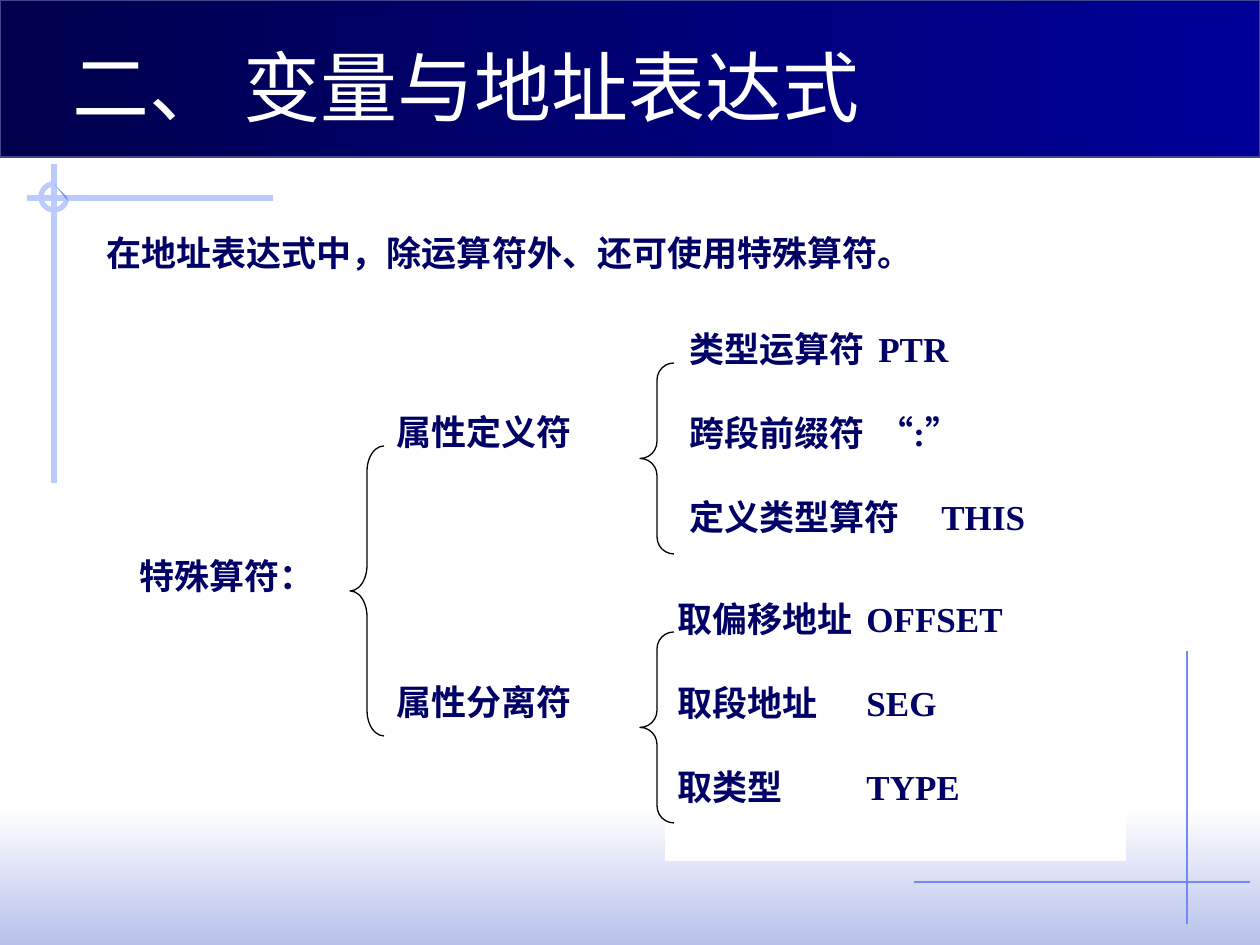
import pptx
import pptx.util
import pptx.dml.color
import pptx.enum.shapes
import pptx.enum.text
import pptx.oxml
import pptx.oxml.ns

SCALE = 914400 / 126
KIND = pptx.enum.shapes.MSO_SHAPE
HUE = {
    "navy": "000066", "dark": "00004D", "blue": "000099", "edge": "40458C",
    "mist": "B7C1EB", "pale": "BBCBFD", "thin": "6F89F7",
    "white": "FFFFFF", "black": "000000",
}
SANS = "Noto Sans CJK SC"
SERIF = "Times New Roman"


def px(size):
    return pptx.util.Emu(round(size * SCALE))


def tint(name):
    return pptx.dml.color.RGBColor.from_string(HUE[name])


def stroke(line, hue, width):
    line.color.rgb = tint(hue)
    line.width = pptx.util.Pt(width)


def add_form(slide, kind, box):
    form = slide.shapes.add_shape(kind, *map(px, box))
    form.shadow.inherit = False
    form.fill.background()
    form.line.fill.background()
    return form


def add_fade(slide, box, hues, angle):
    form = add_form(slide, KIND.RECTANGLE, box)
    form.fill.gradient()
    form.fill.gradient_angle = angle
    for stop, hue in zip(form.fill.gradient_stops, hues):
        stop.color.rgb = tint(hue)
    return form


def add_rule(slide, ends, hue, width):
    rule = slide.shapes.add_connector(
        pptx.enum.shapes.MSO_CONNECTOR.STRAIGHT, *map(px, ends))
    stroke(rule.line, hue, width)
    rule._element.spPr.append(pptx.oxml.parse_xml(
        "<a:effectLst %s/>" % pptx.oxml.ns.nsdecls("a")))


def add_ring(slide):
    ring = add_form(slide, KIND.ARC, (41, 184, 26, 26))
    ring.adjustments[0] = 0
    ring.adjustments[1] = 162
    stroke(ring.line, "pale", 3)
    pen = slide.shapes.build_freeform(54, 184, scale=SCALE)
    pen.add_line_segments([(67, 197), (68, 201)], close=True)
    chip = pen.convert_to_shape()
    chip.shadow.inherit = False
    chip.fill.solid()
    chip.fill.fore_color.rgb = tint("thin")
    chip.line.fill.background()


def add_brace(slide, box, bend):
    brace = add_form(slide, KIND.LEFT_BRACE, box)
    brace.adjustments[0] = bend
    stroke(brace.line, "black", 0.75)


def add_text(slide, box, lines, size=20, face=SERIF, east=SANS,
             hue="navy", bold=True, pitch=24, fill=None):
    form = slide.shapes.add_textbox(*map(px, box))
    if fill:
        form.fill.solid()
        form.fill.fore_color.rgb = tint(fill)
    frame = form.text_frame
    frame.word_wrap = True
    frame.text = "\n".join(lines)
    for para in frame.paragraphs:
        para.line_spacing = pptx.util.Pt(pitch)
        if len(lines) > 1:
            para.space_after = pptx.util.Pt(pitch)
        font = para.font
        font.size = pptx.util.Pt(size)
        font.bold = bold
        font.color.rgb = tint(hue)
        font.name = face
        latin = para._p.pPr.find(".//" + pptx.oxml.ns.qn("a:latin"))
        latin.addnext(pptx.oxml.parse_xml('<a:ea %s typeface="%s"/>' % (
            pptx.oxml.ns.nsdecls("a"), east)))
    return frame


def add_decor(slide):
    add_fade(slide, (0, 809, 1260, 136), ("white", "mist"), 270)
    add_rule(slide, (1187, 651, 1187, 924), "thin", 0.75)
    add_rule(slide, (273, 198, 27, 198), "pale", 3)
    add_rule(slide, (54, 164, 54, 483), "pale", 3)
    add_ring(slide)
    banner = add_fade(slide, (0, 0, 1260, 157), ("dark", "blue"), 0)
    stroke(banner.line, "edge", 0.75)
    add_rule(slide, (914, 882, 1250, 882), "thin", 0.75)


def add_tree(slide):
    leaves = [
        (665, 591, ["取偏移地址\tOFFSET", "取段地址\tSEG", "取类型\t\tTYPE"]),
        (677, 321, ["类型运算符\tPTR", "跨段前缀符\t“:”", "定义类型算符\tTHIS"]),
    ]
    for left, top, lines in leaves:
        add_text(slide, (left, top, 461, 270), lines, fill="white")
    for top, label in ((404, "属性定义符"), (674, "属性分离符")):
        add_text(slide, (384, top, 256, 103), [label], fill="white")
    add_text(slide, (127, 548, 231, 79), ["特殊算符："], fill="white")
    add_brace(slide, (350, 446, 34, 290), 0.75)
    for top in (363, 632):
        add_brace(slide, (640, top, 34, 191), 0.5)


def main():
    deck = pptx.Presentation()
    deck.slide_width, deck.slide_height = px(1260), px(945)
    slide = deck.slides.add_slide(deck.slide_layouts[6])
    add_decor(slide)
    title = add_text(slide, (60, 26, 1108, 112), ["二、 变量与地址表达式"],
                     size=44, face="Noto Sans CJK JP", east="Noto Sans CJK JP",
                     hue="white", bold=False, pitch=53)
    title.vertical_anchor = pptx.enum.text.MSO_ANCHOR.BOTTOM
    add_text(slide, (94, 204, 1066, 100),
             ["在地址表达式中，除运算符外、还可使用特殊算符。"],
             face=SANS, pitch=36)
    add_tree(slide)
    deck.save("out.pptx")


if __name__ == "__main__":
    main()
